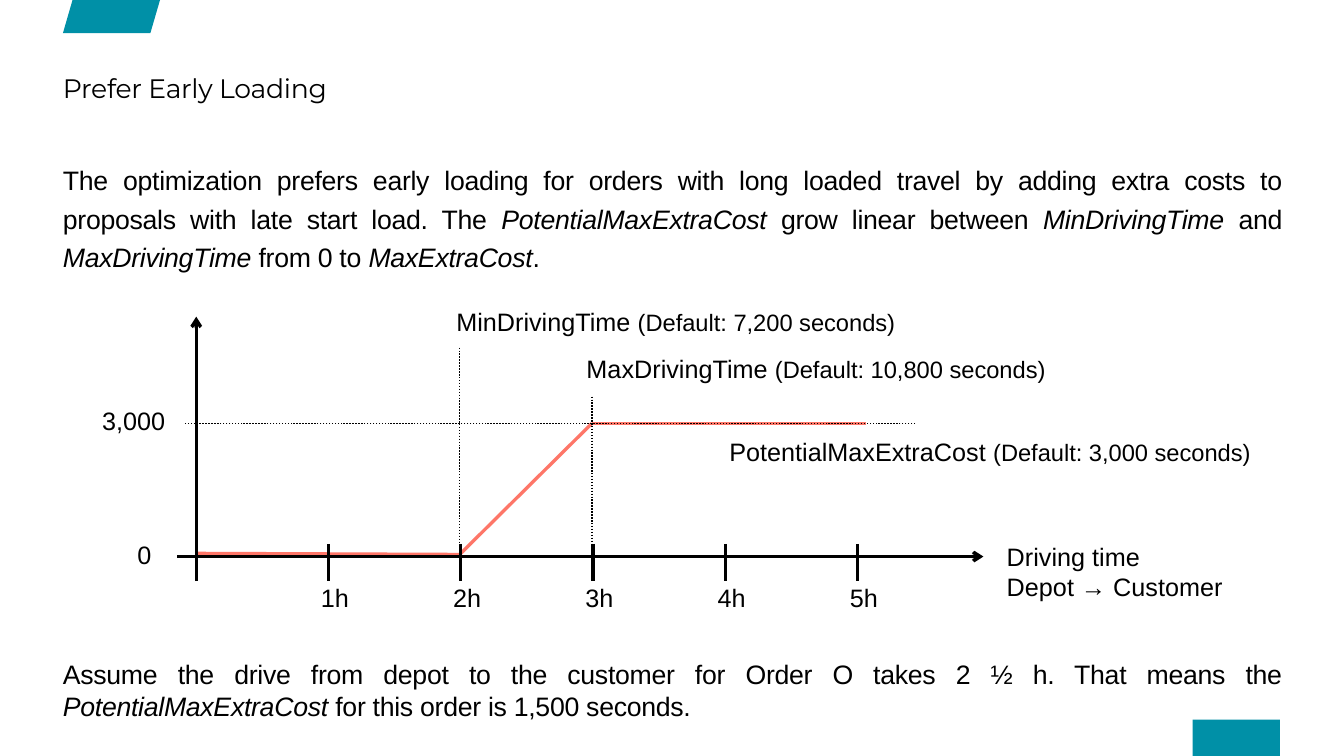
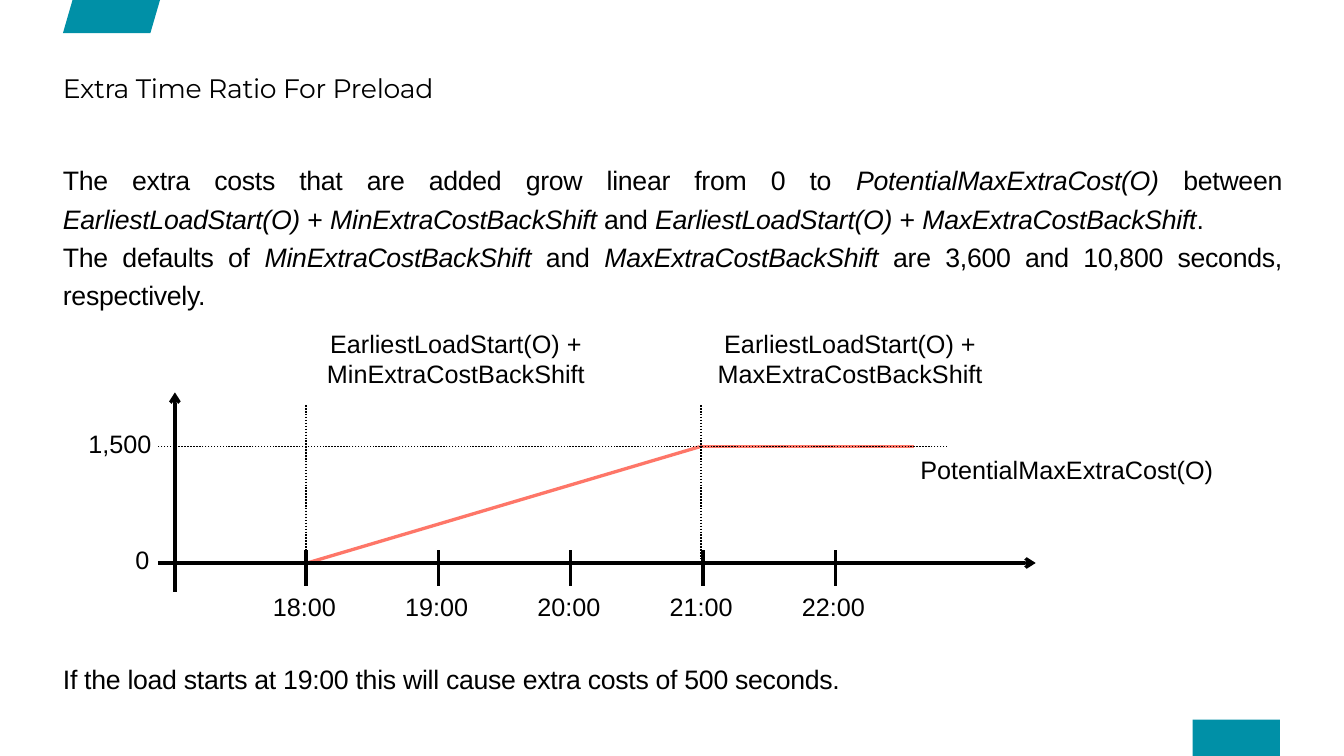
from pptx import Presentation
from pptx.dml.color import RGBColor
from pptx.enum.dml import MSO_LINE
from pptx.enum.shapes import MSO_CONNECTOR, MSO_SHAPE
from pptx.enum.text import MSO_ANCHOR, MSO_AUTO_SIZE, PP_ALIGN
from pptx.oxml.ns import qn
from pptx.util import Inches, Pt
from lxml import etree

TEAL = RGBColor(0x00, 0x90, 0xA7)
RED = RGBColor(0xFE, 0x76, 0x68)
BLACK = RGBColor(0, 0, 0)
LEFT, CENTER, JUSTIFY = PP_ALIGN.LEFT, PP_ALIGN.CENTER, PP_ALIGN.JUSTIFY
DOTTED = MSO_LINE.ROUND_DOT
STRAIGHT = MSO_CONNECTOR.STRAIGHT
MARGIN = 0.59
TICK_GAP = 1.24

# Text and chart geometry; asterisks enclose italics in body text and smaller type in labels
SLIDES = [
    dict(
        title="Prefer Early Loading",
        intro=["The optimization prefers early loading for orders with long loaded travel by "
               "adding extra costs to proposals with late start load. The "
               "*PotentialMaxExtraCost* grow linear between *MinDrivingTime* and "
               "*MaxDrivingTime* from 0 to *MaxExtraCost*."],
        example="Assume the drive from depot to the customer for Order O takes 2 ½ h. "
                "That means the *PotentialMaxExtraCost* for this order is 1,500 seconds.",
        example_top=6.17,
        cost=[(1.84, 5.19), (4.31, 5.2), (5.55, 3.97), (8.12, 3.97)],
        x_axis=(1.66, 9.22, 5.22), y_axis=(1.84, 5.45, 2.97),
        level=(1.73, 8.58, 3.97), limits=[(4.31, 3.26), (5.55, 3.72)],
        first_tick=3.08, tick_y=(5.1, 5.45), tick_shift=-0.17, tick_width=0.51,
        tick_top=5.41, ticks=["1h", "2h", "3h", "4h", "5h"],
        labels=[
            (9.34, 5.03, 2.6, ["Driving time", "Depot → Customer"], LEFT),
            (1.19, 5.01, 0.36, ["0"], LEFT),
            (0.86, 3.75, 0.8, ["3,000"], LEFT),
            (6.74, 4.04, 5.14, ["PotentialMaxExtraCost *(Default: 3,000 seconds)*"], LEFT),
            (4.18, 2.82, 4.36, ["MinDrivingTime *(Default: 7,200 seconds)*"], LEFT),
            (5.4, 3.26, 4.55, ["MaxDrivingTime *(Default: 10,800 seconds)*"], LEFT),
        ],
    ),
    dict(
        title="Extra Time Ratio For Preload",
        intro=["The extra costs that are added grow linear from 0 to "
               "*PotentialMaxExtraCost(O)* between *EarliestLoadStart(O)* + "
               "*MinExtraCostBackShift* and *EarliestLoadStart(O)* + *MaxExtraCostBackShift*.",
               "The defaults of *MinExtraCostBackShift* and *MaxExtraCostBackShift* "
               "are 3,600 and 10,800 seconds, respectively."],
        example="If the load starts at 19:00 this will cause extra costs of 500 seconds.",
        example_top=6.22,
        cost=[(2.88, 5.28), (6.56, 4.19), (8.57, 4.19)],
        x_axis=(1.48, 9.71, 5.28), y_axis=(1.64, 5.55, 3.68),
        level=(1.48, 8.88, 4.19), limits=[(2.87, 3.8), (6.57, 3.8)],
        first_tick=2.87, tick_y=(5.16, 5.5), tick_shift=-0.41, tick_width=0.8,
        tick_top=5.5, ticks=["18:00", "19:00", "20:00", "21:00", "22:00"],
        labels=[
            (1.17, 5.06, 0.36, ["0"], LEFT),
            (0.73, 3.97, 0.8, ["1,500"], LEFT),
            (8.53, 4.21, 3.46, ["PotentialMaxExtraCost(O)"], LEFT),
            (2.95, 3.03, 2.65, ["EarliestLoadStart(O) +", "MinExtraCostBackShift"], CENTER),
            (6.58, 3.03, 2.78, ["EarliestLoadStart(O) +", "MaxExtraCostBackShift"], CENTER),
        ],
    ),
]


def add_text(s, x, y, w, h, paragraphs, align, body=False, spacing=1.0):
    tf = s.shapes.add_textbox(Inches(x), Inches(y), Inches(w), Inches(h)).text_frame
    tf.word_wrap = body
    if body:
        tf.margin_left = tf.margin_right = tf.margin_top = tf.margin_bottom = 0
    else:
        tf.auto_size = MSO_AUTO_SIZE.SHAPE_TO_FIT_TEXT
    for i, text in enumerate(paragraphs):
        p = tf.paragraphs[0] if i == 0 else tf.add_paragraph()
        p.alignment = align
        p.line_spacing = spacing
        for j, part in enumerate(text.split("*")):
            if not part:
                continue
            marked = j % 2 == 1
            r = p.add_run()
            r.text = part
            r.font.name = "Arial"
            r.font.color.rgb = BLACK
            if body:
                r.font.size = Pt(18)
                r.font.italic = marked
                r._r.get_or_add_rPr().set("spc", "-20")
            else:
                r.font.size = Pt(16 if marked else 17)


def add_line(s, start, end, color=BLACK, width=2.25, dash=None, arrow=False):
    points = [Inches(v) for v in (*start, *end)]
    line = s.shapes.add_connector(STRAIGHT, *points)
    line.line.color.rgb = color
    line.line.width = Pt(width)
    if dash:
        line.line.dash_style = dash
    if arrow:
        etree.SubElement(line.line._get_or_add_ln(), qn("a:tailEnd"), type="arrow")
    etree.SubElement(line._element.spPr, qn("a:effectLst"))


prs = Presentation()
prs.slide_width, prs.slide_height = Inches(12.6), Inches(7.09)

for d in SLIDES:
    s = prs.slides.add_slide(prs.slide_layouts[5])

    # Top band and footer block
    for preset, x, y, w, h in [(MSO_SHAPE.PARALLELOGRAM, MARGIN, 0, 0.91, 0.31),
                               (MSO_SHAPE.RECTANGLE, 11.18, 6.75, 0.82, 0.34)]:
        sp = s.shapes.add_shape(preset, Inches(x), Inches(y), Inches(w), Inches(h))
        if preset == MSO_SHAPE.PARALLELOGRAM:
            sp.adjustments[0] = 0.29
        sp.shadow.inherit = False
        sp.fill.solid()
        sp.fill.fore_color.rgb = TEAL
        sp.line.fill.background()

    # Title
    title = s.shapes.title
    title.left, title.top = Inches(MARGIN), Inches(0.67)
    title.width, title.height = Inches(7.6), Inches(0.67)
    tf = title.text_frame
    tf.margin_left = tf.margin_right = tf.margin_top = tf.margin_bottom = 0
    tf.vertical_anchor = MSO_ANCHOR.TOP
    tf.auto_size = MSO_AUTO_SIZE.NONE
    p = tf.paragraphs[0]
    p.alignment = LEFT
    r = p.add_run()
    r.text = d["title"]
    r.font.name = "Montserrat"
    r.font.size = Pt(18)
    r.font.color.rgb = BLACK
    r._r.get_or_add_rPr().set("spc", "-20")

    # Body text above and below the diagram
    add_text(s, MARGIN, 1.48, 11.43, 1.44, d["intro"], JUSTIFY, body=True, spacing=1.2)
    add_text(s, MARGIN, d["example_top"], 11.43, 0.6, [d["example"]], JUSTIFY, body=True)

    # Cost curve
    for start, end in zip(d["cost"], d["cost"][1:]):
        add_line(s, start, end, RED)

    # Dotted guides
    x1, x2, axis_y = d["x_axis"]
    left, right, level_y = d["level"]
    add_line(s, (right, level_y), (left, level_y), width=1, dash=DOTTED)
    for x, top in d["limits"]:
        add_line(s, (x, top), (x, axis_y), width=1, dash=DOTTED)

    # Axes
    axis_x, bottom, top = d["y_axis"]
    add_line(s, (x1, axis_y), (x2, axis_y), arrow=True)
    add_line(s, (axis_x, bottom), (axis_x, top), arrow=True)

    # Ticks with their labels
    tick_top, tick_bottom = d["tick_y"]
    for i, text in enumerate(d["ticks"]):
        x = d["first_tick"] + i * TICK_GAP
        add_line(s, (x, tick_top), (x, tick_bottom))
        add_text(s, x + d["tick_shift"], d["tick_top"], d["tick_width"], 0.39, [text], LEFT)

    # Other labels
    for x, y, w, paragraphs, align in d["labels"]:
        add_text(s, x, y, w, 0.1 + 0.29 * len(paragraphs), paragraphs, align)

prs.save("out.pptx")
